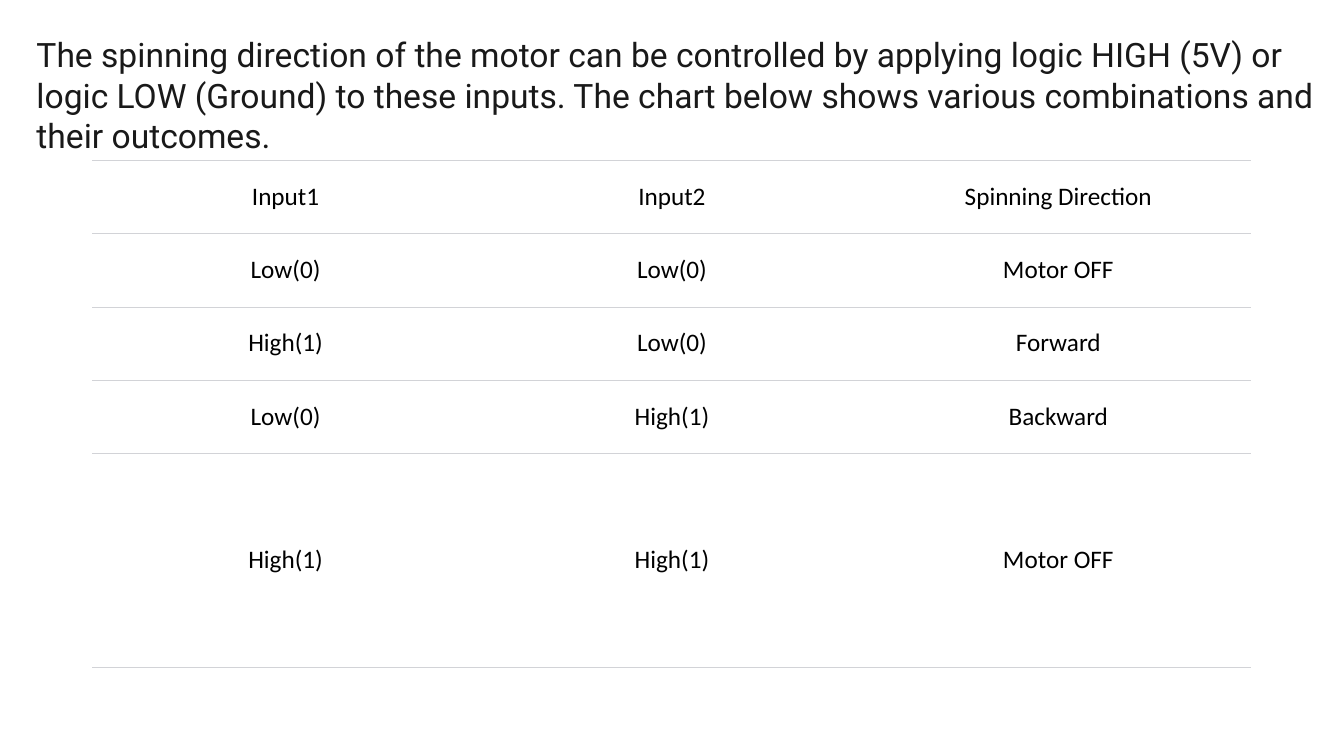
from dataclasses import dataclass

from lxml.etree import SubElement
from pptx import Presentation
from pptx.dml.color import RGBColor as Rgb
from pptx.enum.text import MSO_ANCHOR as Anchor, PP_ALIGN as Align
from pptx.oxml.ns import qn
from pptx.util import Pt


@dataclass(frozen=True)
class Theme:
    ink: str = "191919"
    black: str = "000000"
    white: str = "FFFFFF"
    rule: str = "D2D3D7"
    lead: str = "Roboto"
    body: str = "Calibri"
    large: int = 24
    small: int = 18
    line: float = 0.38
    pad: int = 3


THEME = Theme()

INTRO = (
    "The spinning direction of the motor can be controlled by applying "
    "logic HIGH (5V) or logic LOW (Ground) to these inputs. The chart below "
    "shows various combinations and their outcomes."
)
ROWS = [
    ("Input1", "Input2", "Spinning Direction"),
    ("Low(0)", "Low(0)", "Motor OFF"),
    ("High(1)", "Low(0)", "Forward"),
    ("Low(0)", "High(1)", "Backward"),
    ("High(1)", "High(1)", "Motor OFF"),
]


def add_run(para, text, face, size, color):
    run = para.add_run()
    run.text = text
    run.font.name = face
    run.font.size = Pt(size)
    run.font.color.rgb = Rgb.from_string(color)


def add_intro(slide, box):
    frame = slide.shapes.add_textbox(*map(Pt, box)).text_frame
    frame.word_wrap = True
    add_run(frame.paragraphs[0], INTRO, THEME.lead, THEME.large, THEME.ink)


def rule_cell(cell):
    """Draw thin lines above and below the cell, none at its sides."""
    props = cell._tc.get_or_add_tcPr()
    for side in ("L", "R", "T", "B"):
        line = SubElement(props, qn(f"a:ln{side}"), w=str(Pt(THEME.line)))
        if side in "LR":
            SubElement(line, qn("a:noFill"))
        else:
            fill = SubElement(line, qn("a:solidFill"))
            SubElement(fill, qn("a:srgbClr"), val=THEME.rule)


def fill_cell(cell, text):
    rule_cell(cell)
    cell.fill.solid()
    cell.fill.fore_color.rgb = Rgb.from_string(THEME.white)
    cell.vertical_anchor = Anchor.MIDDLE
    cell.margin_left = cell.margin_right = Pt(THEME.pad)
    cell.margin_top = cell.margin_bottom = Pt(THEME.pad)
    para = cell.text_frame.paragraphs[0]
    para.alignment = Align.CENTER
    add_run(para, text, THEME.body, THEME.small, THEME.black)


def add_logic(slide, box, step):
    """Place the logic table; the last row takes the height left over."""
    left, top, width, height = box
    count = len(ROWS)
    table = slide.shapes.add_table(
        count, len(ROWS[0]), Pt(left), Pt(top), Pt(width), Pt(height)
    ).table
    table.horz_banding = False
    table.first_row = False
    for col in table.columns:
        col.width = Pt(width / len(ROWS[0]))
    for i, texts in enumerate(ROWS):
        last = i == count - 1
        table.rows[i].height = Pt(height - step * i if last else step)
        for j, text in enumerate(texts):
            fill_cell(table.cell(i, j), text)


def main():
    deck = Presentation()
    deck.slide_width, deck.slide_height = Pt(960), Pt(540)
    slide = deck.slides.add_slide(deck.slide_layouts[6])
    add_intro(slide, (19, 21, 928, 138))
    add_logic(slide, (66, 114.5, 828, 362), step=52.3)
    deck.save("out.pptx")


if __name__ == "__main__":
    main()
